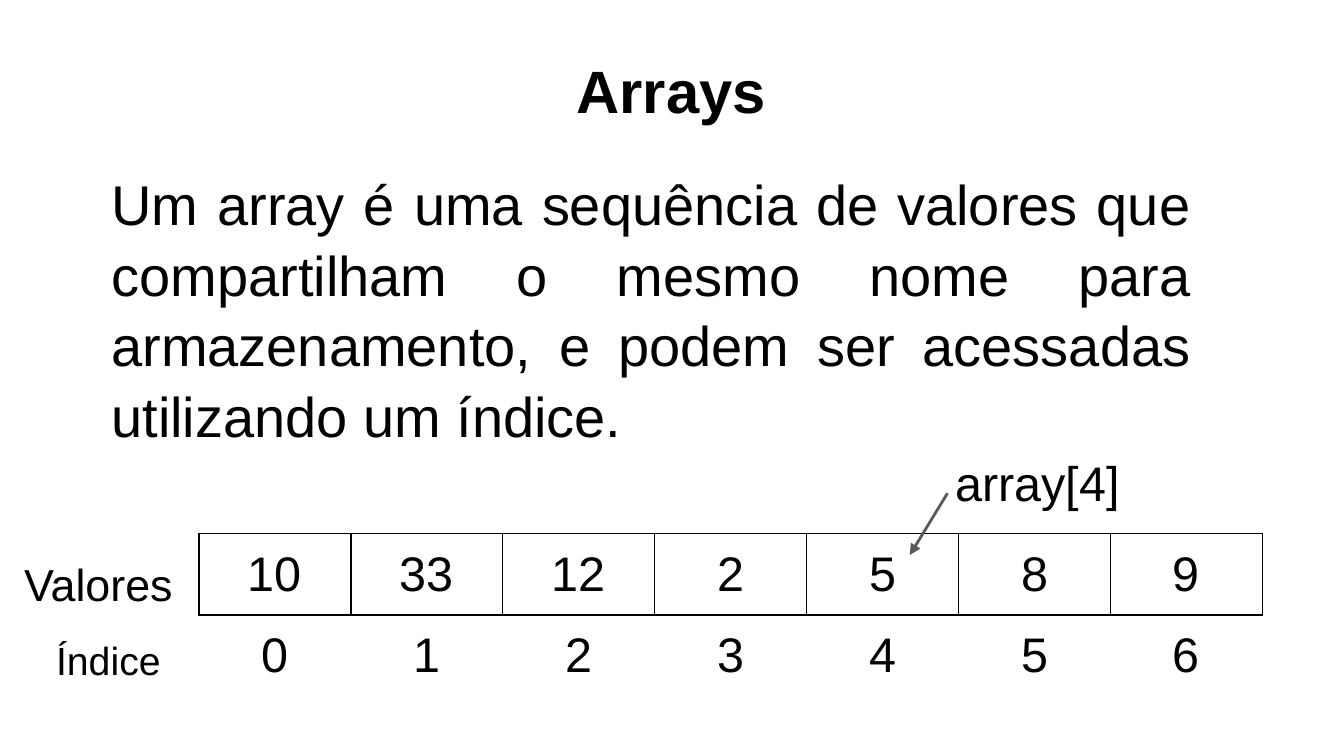
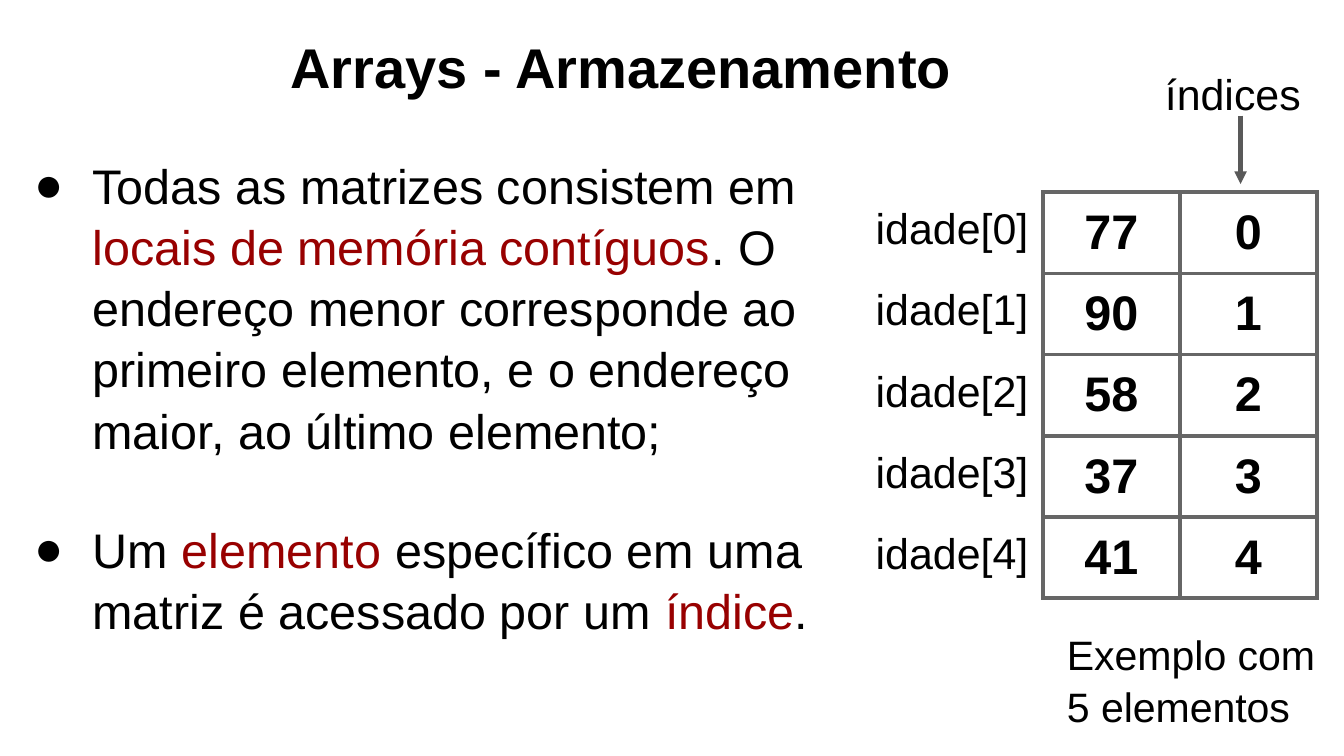
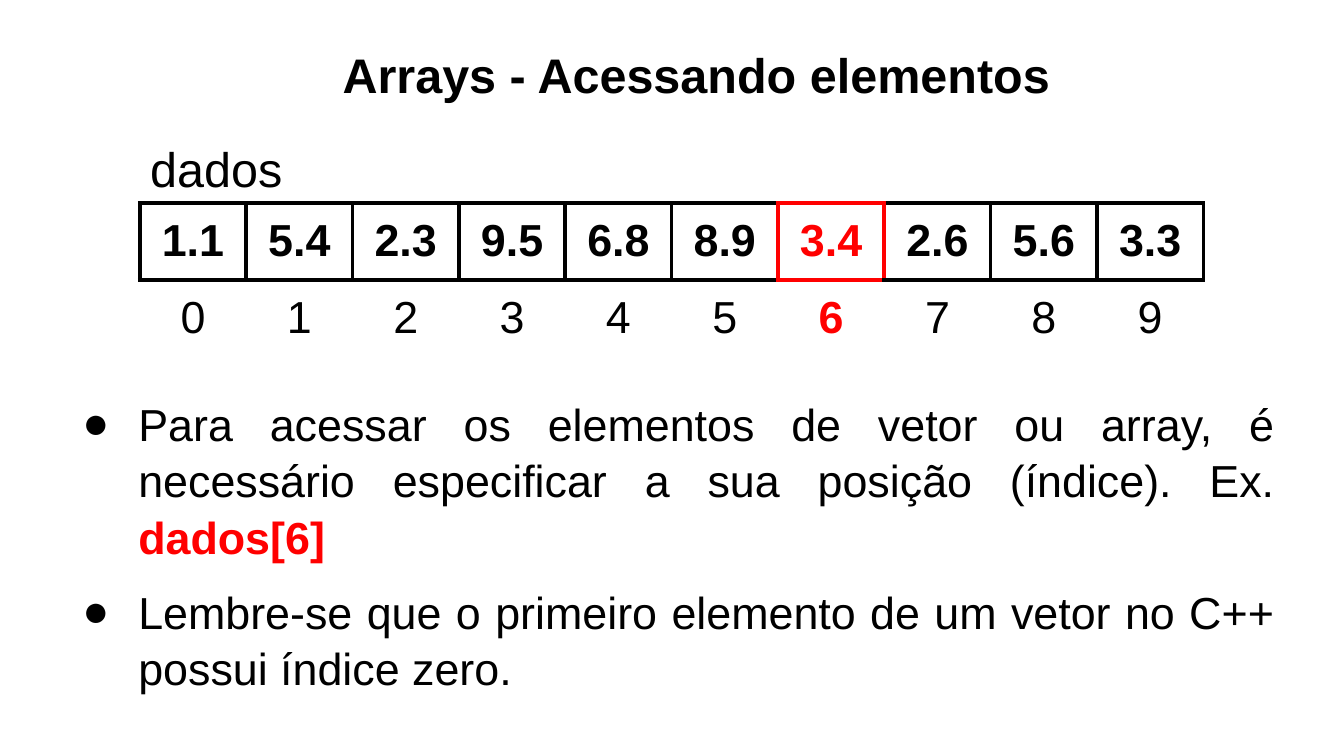
import dataclasses

import lxml.etree
import pptx
import pptx.dml.color
import pptx.enum.shapes
import pptx.enum.text
import pptx.oxml.ns
import pptx.util

Pt = pptx.util.Pt
ALIGN = pptx.enum.text.PP_ALIGN
qn = pptx.oxml.ns.qn


# Theme: colours and type sizes
@dataclasses.dataclass(frozen=True)
class Theme:
    font: str = "Arial"
    paper: str = "FFFFFF"
    ink: str = "000000"
    term: str = "980000"
    accent: str = "FF0000"
    arrow: str = "595959"
    grid: str = "666666"
    huge: float = 32
    lead: float = 30
    large: float = 26
    body: float = 24
    label: float = 23
    caption: float = 22
    small: float = 21
    inset: float = 7.2
    spacing: float = 1.05
    title_spacing: float = 1.08


THEME = Theme()


@dataclasses.dataclass(frozen=True)
class Entry:
    """A table cell; frame is its border colour, None leaves it open."""
    text: str
    size: float
    bold: bool = False
    color: str = THEME.ink
    frame: str | None = None


def rgb(color):
    return pptx.dml.color.RGBColor.from_string(color)


def xml_child(parent, tag, **attributes):
    return lxml.etree.SubElement(parent, qn(tag), attributes)


# Text
def add_span(para, text, size, color=THEME.ink, bold=False):
    span = para.add_run()
    span.text = text
    span.font.name = THEME.font
    span.font.size = Pt(size)
    span.font.bold = bold
    span.font.color.rgb = rgb(color)


def prepare_frame(frame):
    frame.word_wrap = True
    frame.auto_size = pptx.enum.text.MSO_AUTO_SIZE.NONE
    frame.vertical_anchor = pptx.enum.text.MSO_ANCHOR.TOP
    frame.margin_left = frame.margin_right = Pt(THEME.inset)
    frame.margin_top = frame.margin_bottom = Pt(THEME.inset)


def add_page(deck, title, size, left, top, width):
    page = deck.slides.add_slide(deck.slide_layouts[5])
    page.background.fill.solid()
    page.background.fill.fore_color.rgb = rgb(THEME.paper)
    box = page.shapes.title
    box.left, box.top, box.width, box.height = Pt(left), Pt(top), Pt(width), Pt(51)
    prepare_frame(box.text_frame)
    para = box.text_frame.paragraphs[0]
    para.alignment = ALIGN.CENTER
    para.line_spacing = THEME.title_spacing
    add_span(para, title, size, bold=True)
    return page


def add_text(page, left, top, width, height, size, paragraphs,
             align=ALIGN.LEFT, hanging=0, gap=0):
    """Each paragraph is a list of (text, style) spans; hanging adds bullets."""
    box = page.shapes.add_textbox(Pt(left), Pt(top), Pt(width), Pt(height))
    frame = box.text_frame
    prepare_frame(frame)
    for number, spans in enumerate(paragraphs):
        para = frame.add_paragraph() if number else frame.paragraphs[0]
        para.alignment = align
        para.line_spacing = THEME.spacing
        para.space_before = Pt(gap if number else 0)
        if hanging:
            add_bullet(para, hanging)
        for text, style in spans:
            add_span(para, text, size, **style)


def add_bullet(para, hanging):
    properties = para._p.get_or_add_pPr()
    properties.set("marL", str(Pt(36)))
    properties.set("indent", str(-Pt(hanging)))
    color = xml_child(properties, "a:buClr")
    xml_child(color, "a:srgbClr", val=THEME.ink)
    xml_child(properties, "a:buFont", typeface=THEME.font)
    xml_child(properties, "a:buChar", char="●")


def add_label(page, left, top, width, height, size, *lines):
    add_text(page, left, top, width, height, size, [[(line, {})] for line in lines])


# Arrows
def add_arrow(page, start, end, weight):
    arrow = page.shapes.add_connector(
        pptx.enum.shapes.MSO_CONNECTOR.STRAIGHT, *map(Pt, start + end))
    arrow.line.color.rgb = rgb(THEME.arrow)
    arrow.line.width = Pt(weight)
    xml_child(arrow.line._get_or_add_ln(), "a:tailEnd", type="triangle")
    xml_child(arrow._element.spPr, "a:effectLst")


# Tables
SIDES = {"a:lnL": (0, -1), "a:lnR": (0, 1), "a:lnT": (-1, 0), "a:lnB": (1, 0)}


def edge_color(rows, row, column, step):
    """An edge takes the frame of either cell beside it, the accent first."""
    frames = [rows[row][column].frame]
    next_row, next_column = row + step[0], column + step[1]
    if 0 <= next_row < len(rows) and 0 <= next_column < len(rows[0]):
        frames.append(rows[next_row][next_column].frame)
    return max(filter(None, frames), key=lambda color: color == THEME.accent, default=None)


def add_border(properties, side, color, weight):
    line = xml_child(properties, side, w=str(Pt(weight)))
    if color:
        fill = xml_child(line, "a:solidFill")
        xml_child(fill, "a:srgbClr", val=color)
    else:
        xml_child(line, "a:noFill")


def add_grid(page, left, top, widths, row_height, weight, rows):
    table = page.shapes.add_table(
        len(rows), len(widths), Pt(left), Pt(top),
        Pt(sum(widths)), Pt(row_height * len(rows))).table
    table.first_row = table.horz_banding = False
    for column, width in zip(table.columns, widths):
        column.width = Pt(width)
    for row, entries in enumerate(rows):
        for column, entry in enumerate(entries):
            cell = table.cell(row, column)
            cell.margin_left = cell.margin_right = Pt(THEME.inset)
            cell.margin_top = cell.margin_bottom = Pt(THEME.inset)
            para = cell.text_frame.paragraphs[0]
            para.alignment = ALIGN.CENTER
            add_span(para, entry.text, entry.size, entry.color, entry.bold)
            properties = cell._tc.get_or_add_tcPr()
            for side, step in SIDES.items():
                add_border(properties, side, edge_color(rows, row, column, step), weight)
            cell.fill.background()


# Slides
def build_definition(deck):
    page = add_page(deck, "Arrays", THEME.huge, 36, 18.7, 647.3)
    definition = ("Um array é uma sequência de valores que compartilham o mesmo nome "
                  "para armazenamento, e podem ser acessadas utilizando um índice.")
    add_text(page, 52.6, 82, 592.6, 139.7, THEME.lead, [[(definition, {})]], ALIGN.JUSTIFY)

    values = [10, 33, 12, 2, 5, 8, 9]
    add_grid(page, 106.6, 286, [81.4] * len(values), 30.2, 0.75, [
        [Entry(str(value), THEME.large, frame=THEME.ink) for value in values],
        [Entry(str(index), THEME.large) for index in range(len(values))],
    ])
    add_label(page, 23, 332.6, 78, 40, THEME.small, "Índice")
    add_label(page, 5.8, 289.4, 96, 44, THEME.body, "Valores")
    add_label(page, 504.7, 234, 108, 46, THEME.large, "array[4]")
    add_arrow(page, (507.6, 264.2), (487.4, 297.4), 1.5)


def build_storage(deck):
    page = add_page(deck, "Arrays - Armazenamento", THEME.lead, 107.3, 7.2, 450.7)
    term = {"color": THEME.term}
    add_text(page, 6.5, 74.9, 447.8, 247, THEME.large, [
        [("Todas as matrizes consistem em ", {}),
         ("locais de memória contíguos", term),
         (". O endereço menor corresponde ao primeiro elemento, "
          "e o endereço maior, ao último elemento;", {})],
        [("Um ", {}), ("elemento", term),
         (" específico em uma matriz é acessado por um ", {}),
         ("índice", term), (".", {})],
    ], hanging=31, gap=31)

    ages = [77, 90, 58, 37, 41]
    add_grid(page, 461.5, 103, [97.2, 73.4, 73.4], 41.8, 2.25, [
        [Entry(f"idade[{index}]", THEME.label)]
        + [Entry(str(number), THEME.large, True, frame=THEME.grid) for number in (age, index)]
        for index, age in enumerate(ages)
    ])
    add_label(page, 617, 27.4, 100, 32.4, THEME.label, "índices")
    add_arrow(page, (664.6, 61.9), (664.6, 98.6), 2.25)
    add_label(page, 564.5, 329, 155, 67.7, THEME.caption, "Exemplo com", "5 elementos")


def build_access(deck):
    page = add_page(deck, "Arrays - Acessando elementos", THEME.large, 49.7, 14.4, 647.3)
    add_text(page, 31, 203.8, 658.8, 135.4, THEME.body, [
        [("Para acessar os elementos de vetor ou array, é necessário especificar "
          "a sua posição (índice). Ex. ", {}),
         ("dados[6]", {"color": THEME.accent, "bold": True})],
        [("Lembre-se que o primeiro elemento de um vetor no C++ possui índice zero.", {})],
    ], ALIGN.JUSTIFY, hanging=30, gap=10)

    data = ["1.1", "5.4", "2.3", "9.5", "6.8", "8.9", "3.4", "2.6", "5.6", "3.3"]
    chosen = 6
    colors = [THEME.accent if index == chosen else THEME.ink for index in range(len(data))]
    add_grid(page, 74.9, 108.7, [57] * len(data), 30.2, 2.25, [
        [Entry(value, THEME.body, True, color, color) for value, color in zip(data, colors)],
        [Entry(str(index), THEME.body, index == chosen, color)
         for index, color in enumerate(colors)],
    ])
    add_label(page, 73.4, 65.5, 103, 29.5, THEME.large, "dados")


def main():
    deck = pptx.Presentation()
    deck.slide_width, deck.slide_height = Pt(720), Pt(405)
    build_definition(deck)
    build_storage(deck)
    build_access(deck)
    deck.save("out.pptx")


if __name__ == "__main__":
    main()
